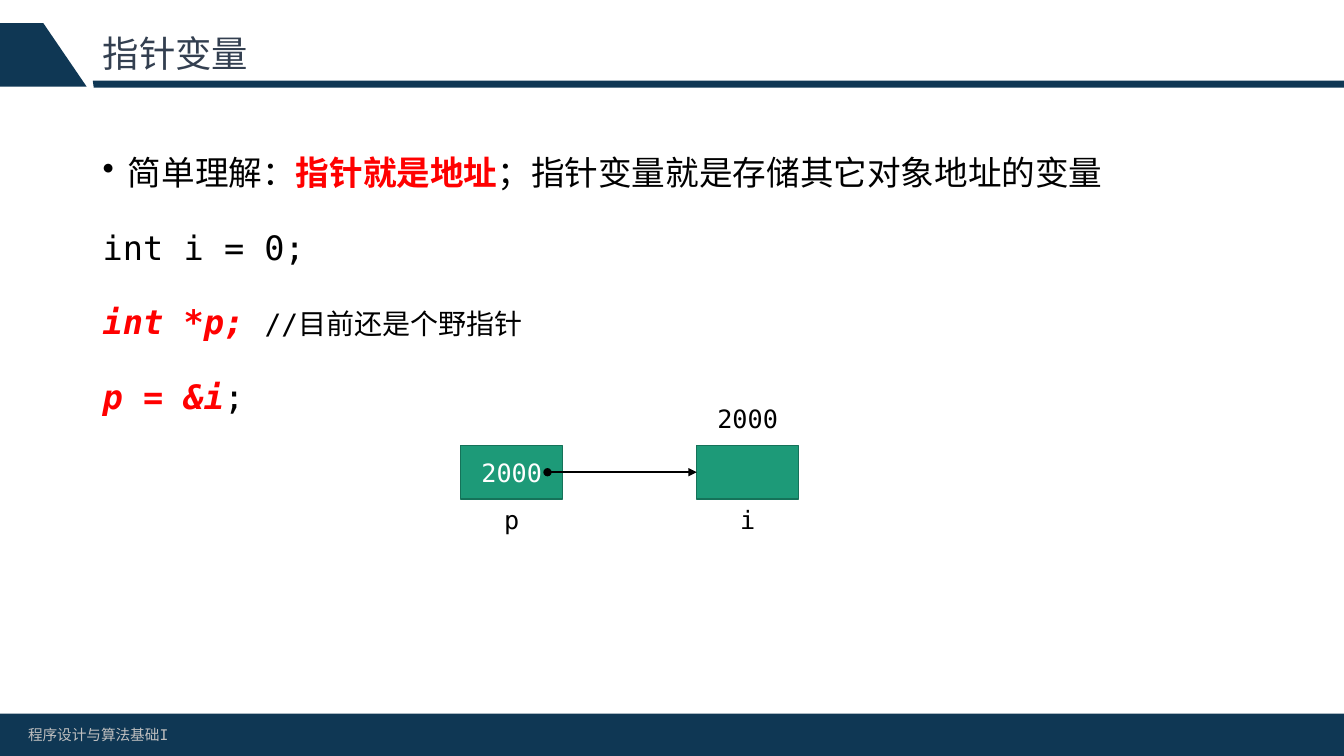
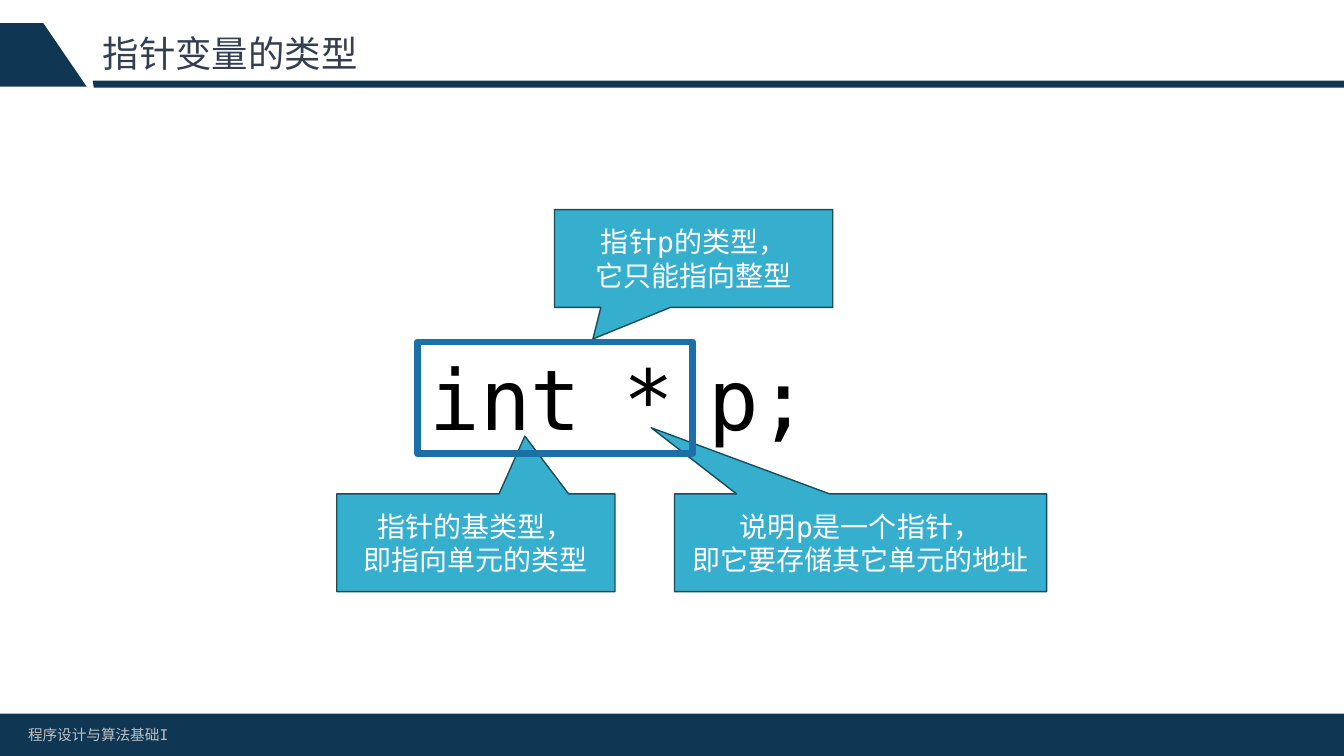
"""Build two slides on pointer variables and their types."""
import pptx
import pptx.dml.color
import pptx.enum.lang
import pptx.enum.shapes
import pptx.enum.text
import pptx.oxml
import pptx.oxml.ns
import pptx.util
from dataclasses import dataclass

Inches, Pt = pptx.util.Inches, pptx.util.Pt
SHAPE = pptx.enum.shapes.MSO_SHAPE
ALIGN = pptx.enum.text.PP_ALIGN
ANCHOR = pptx.enum.text.MSO_ANCHOR


@dataclass(frozen=True)
class Theme:
    font: str = "DejaVu Sans Mono"
    navy: str = "0F3754"
    title: str = "333F50"
    footer: str = "BFBFBF"
    ink: str = "000000"
    paper: str = "FFFFFF"
    accent: str = "FF0000"
    cell: str = "1D9A78"
    cell_edge: str = "157259"
    callout: str = "36AFCE"
    callout_edge: str = "184D5A"
    frame: str = "1D6FA9"
    title_size: float = 26
    body_size: float = 24
    note_size: float = 20
    label_size: float = 18
    footer_size: float = 10.5
    code_size: float = 60


T = Theme()
W, H = 13.33, 7.5
MARGIN = 0.92
FOOTER = "程序设计与算法基础I"
BANDS = [
    [(MARGIN, 0.8), (W, 0.8), (W, 0.87), (0.93, 0.87)],
    [(0.43, 0.23), (0.86, 0.86), (0, 0.86), (0, 0.23)],
]

STRONG = {"color": T.accent, "bold": True}
CODE = {**STRONG, "italic": True}
BODY = [
    [("简单理解：", {}), ("指针就是地址", STRONG), ("；指针变量就是存储其它对象地址的变量", {})],
    [("int i = 0;", {})],
    [("int *p; ", CODE), ("//目前还是个野指针", {"size": T.note_size})],
    [("p = &i", CODE), (";", {})],
]
CELL = {"left": 4.57, "top": 4.42, "width": 1.01, "height": 0.53, "pitch": 2.34}
CELLS = [{"name": "p", "value": "2000"}, {"name": "i", "address": "2000"}]
LABEL_HEIGHT = 0.4

CODE_TOP, CODE_HEIGHT = 3.39, 1.11
TOKENS = [("int", 4.14, 1.75), ("*", 5.78, 1.31), ("p;", 6.87, 1.31)]
CALLOUT_HEIGHT = 0.97
CALLOUTS_BELOW = [
    (6.69, 4.9, 3.69, (-0.563, -1.177), ["说明p是一个指针，", "即它要存储其它单元的地址"]),
    (3.34, 4.9, 2.76, (0.176, -1.091), ["指针的基类型，", "即指向单元的类型"]),
]
CALLOUT_ABOVE = (5.5, 2.08, 2.76, (-0.362, 0.823), ["指针p的类型，", "它只能指向整型"])


def rgb(color):
    return pptx.dml.color.RGBColor.from_string(color)


def box(*inches):
    return [Inches(v) for v in inches]


def paint(sp, fill=None, edge=None, weight=1):
    sp.shadow.inherit = False
    if fill:
        sp.fill.solid()
        sp.fill.fore_color.rgb = rgb(fill)
    else:
        sp.fill.background()
    if edge:
        sp.line.color.rgb = rgb(edge)
        sp.line.width = Pt(weight)
    else:
        sp.line.fill.background()
    return sp


def add_run(p, text, size, color, bold=False, italic=False):
    r = p.add_run()
    r.text = text
    values = {"name": T.font, "size": Pt(size), "bold": bold, "italic": italic,
              "language_id": pptx.enum.lang.MSO_LANGUAGE_ID.SIMPLIFIED_CHINESE}
    for key, value in values.items():
        setattr(r.font, key, value)
    r.font.color.rgb = rgb(color)


def write(sp, lines, size, color, align=ALIGN.CENTER, anchor=ANCHOR.TOP, **spacing):
    tf = sp.text_frame
    tf.word_wrap = True
    tf.vertical_anchor = anchor
    for n, line in enumerate(lines):
        p = tf.add_paragraph() if n else tf.paragraphs[0]
        p.alignment = align
        for key, value in spacing.items():
            if n or key != "space_before":
                setattr(p, key, value)
        for text, style in [(line, {})] if isinstance(line, str) else line:
            add_run(p, text, **{"size": size, "color": color, **style})
    return tf


def add_text(s, area, lines, size, color, **layout):
    return write(s.shapes.add_textbox(*box(*area)), lines, size, color, **layout)


def add_box(s, kind, area, fill=None, edge=None, weight=1):
    return paint(s.shapes.add_shape(kind, *box(*area)), fill, edge, weight)


def add_bullet(p, indent):
    pPr = p._p.get_or_add_pPr()
    pPr.set("marL", str(Inches(indent)))
    pPr.set("indent", str(-Inches(indent)))
    bullet = pptx.oxml.parse_xml(f'<a:buChar {pptx.oxml.ns.nsdecls("a")} char="•"/>')
    pPr.append(bullet)


def add_arrow(s, start, y, target):
    line = s.shapes.add_connector(pptx.enum.shapes.MSO_CONNECTOR.STRAIGHT,
                                  *box(start, y), target.left, Inches(y))
    line.end_connect(target, 1)
    line.line.color.rgb = rgb(T.ink)
    line.line.width = Pt(1.5)
    spPr = line._element.spPr
    ln = spPr.find(pptx.oxml.ns.qn("a:ln"))
    ns = pptx.oxml.ns.nsdecls("a")
    for parent, tag in [(ln, 'headEnd {} type="oval"'), (ln, 'tailEnd {} type="triangle"'),
                        (spPr, "effectLst {}")]:
        parent.append(pptx.oxml.parse_xml(f"<a:{tag.format(ns)}/>"))


def new_slide(prs, title):
    s = prs.slides.add_slide(prs.slide_layouts[6])
    for points in BANDS:
        start, *rest = [tuple(box(*point)) for point in points]
        outline = s.shapes.build_freeform(*start)
        outline.add_line_segments(rest, close=True)
        paint(outline.convert_to_shape(), T.navy)
    add_box(s, SHAPE.RECTANGLE, (0, 7.08, W, 0.42), T.navy)
    add_text(s, (0.18, 7.15, 4.32, 0.29), [FOOTER], T.footer_size, T.footer, align=ALIGN.LEFT)
    add_text(s, (MARGIN, 0.23, 11.5, 0.64), [title], T.title_size, T.title,
             align=ALIGN.LEFT, anchor=ANCHOR.MIDDLE, line_spacing=0.9)
    return s


def add_cell(s, n, name, value=None, address=None):
    left, top = CELL["left"] + n * CELL["pitch"], CELL["top"]
    width, height = CELL["width"], CELL["height"]
    sp = add_box(s, SHAPE.RECTANGLE, (left, top, width, height), T.cell, T.cell_edge)
    if value:
        write(sp, [value], T.label_size, T.paper, anchor=ANCHOR.MIDDLE)
    for text, y, w in [(name, top + height, 0.39), (address, top - 0.47, 0.88)]:
        if text:
            add_text(s, (left + (width - w) / 2, y, w, LABEL_HEIGHT), [text],
                     T.label_size, T.ink)
    return sp


def pointer_slide(prs):
    s = new_slide(prs, "指针变量")
    tf = add_text(s, (MARGIN, 1.26, 11.5, 5.43), BODY, T.body_size, T.ink,
                  align=ALIGN.JUSTIFY, line_spacing=1.5, space_before=Pt(10))
    add_bullet(tf.paragraphs[0], 0.25)
    cells = [add_cell(s, n, **cell) for n, cell in enumerate(CELLS)]
    add_arrow(s, 5.43, CELL["top"] + CELL["height"] / 2, cells[1])


def add_callout(s, left, top, width, tip, lines):
    sp = add_box(s, SHAPE.RECTANGULAR_CALLOUT, (left, top, width, CALLOUT_HEIGHT),
                 T.callout, T.callout_edge)
    for n, value in enumerate(tip):
        sp.adjustments[n] = value
    write(sp, lines, T.note_size, T.paper, anchor=ANCHOR.MIDDLE)


def type_slide(prs):
    s = new_slide(prs, "指针变量的类型")
    for text, left, width in TOKENS:
        add_text(s, (left, CODE_TOP, width, CODE_HEIGHT), [text], T.code_size, T.ink)
    for callout in CALLOUTS_BELOW:
        add_callout(s, *callout)
    left, right = TOKENS[0][1], TOKENS[-1][1]
    add_box(s, SHAPE.RECTANGLE, (left, CODE_TOP, right - left, CODE_HEIGHT),
            edge=T.frame, weight=4.5)
    add_callout(s, *CALLOUT_ABOVE)


def main():
    prs = pptx.Presentation()
    prs.slide_width, prs.slide_height = box(W, H)
    pointer_slide(prs)
    type_slide(prs)
    prs.save("out.pptx")


if __name__ == "__main__":
    main()
